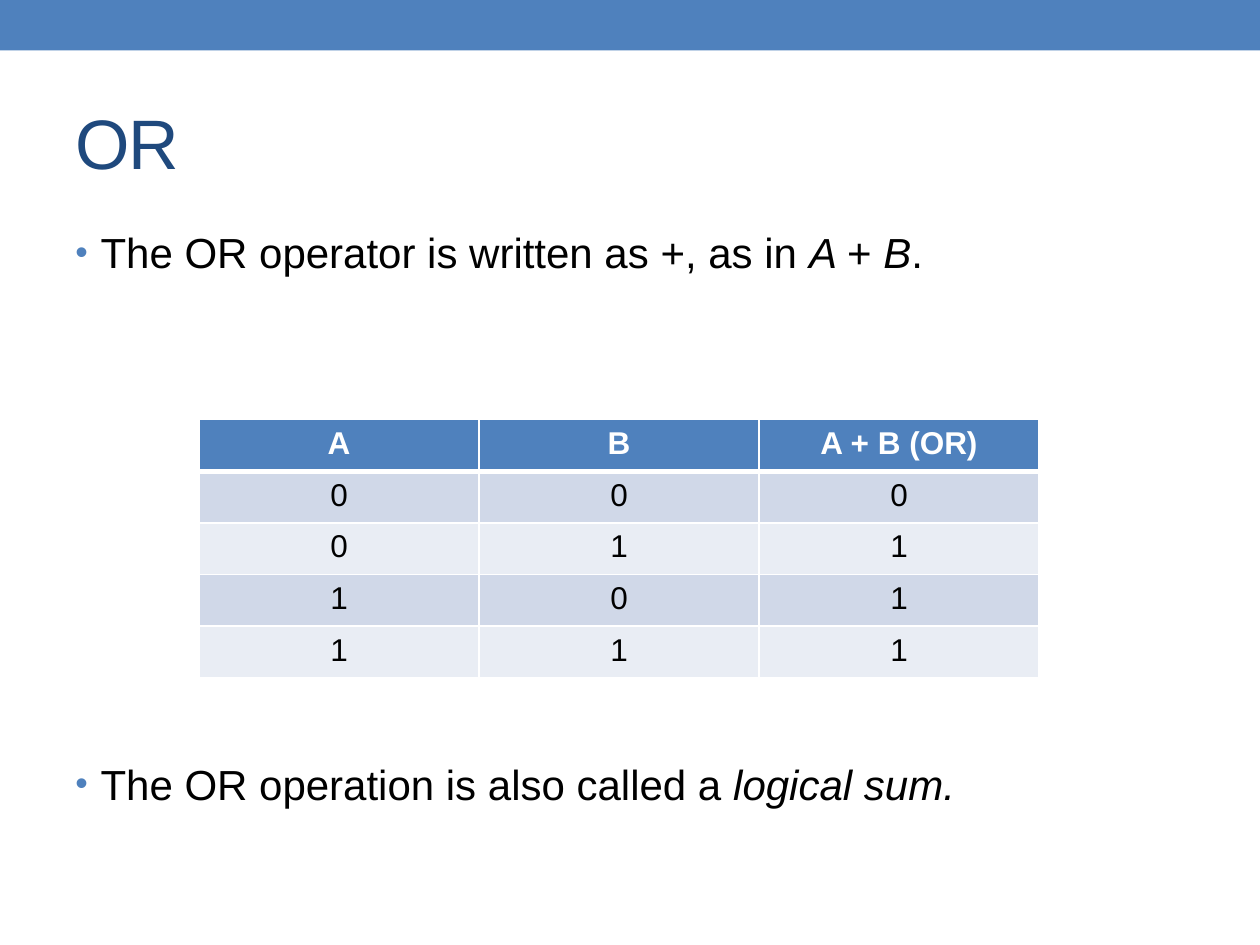
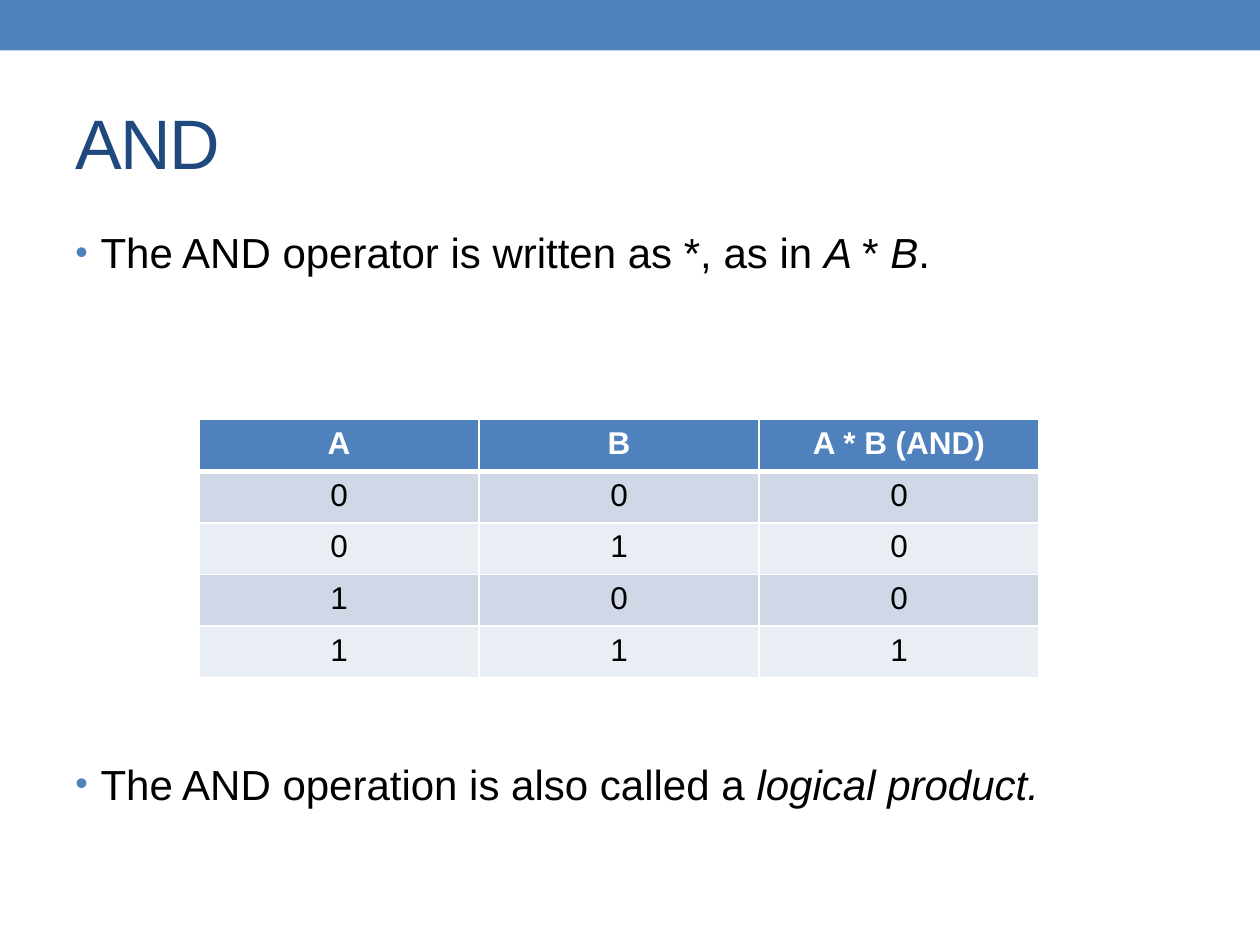
import pptx
import pptx.dml.color
import pptx.enum.shapes
import pptx.enum.text
import pptx.oxml.ns
import pptx.util
from lxml import etree

RGBColor = pptx.dml.color.RGBColor
Inches, Pt = pptx.util.Inches, pptx.util.Pt
ALIGN, ANCHOR = pptx.enum.text.PP_ALIGN, pptx.enum.text.MSO_ANCHOR

# Each statement is a list of (text, italic) runs.
OPERATORS = [
    {
        "title": "OR",
        "notation": [("The OR operator is written as +, as in ", False), ("A ", True),
                     ("+ ", False), ("B", True), (".", False)],
        "truth_table": [("A", "B", "A + B (OR)"),
                        (0, 0, 0), (0, 1, 1), (1, 0, 1), (1, 1, 1)],
        "other_name": [("The OR operation is also called a ", False), ("logical sum.", True)],
    },
    {
        "title": "AND",
        "notation": [("The AND operator is written as *, as in ", False), ("A ", True),
                     ("* ", False), ("B", True), (".", False)],
        "truth_table": [("A", "B", "A * B (AND)"),
                        (0, 0, 0), (0, 1, 0), (1, 0, 0), (1, 1, 1)],
        "other_name": [("The AND operation is also called a ", False), ("logical product.", True)],
    },
]

BLUE = RGBColor(0x4F, 0x81, 0xBD)
NAVY = RGBColor(0x1F, 0x49, 0x7D)
BLACK = RGBColor(0, 0, 0)
WHITE = RGBColor(0xFF, 0xFF, 0xFF)
ROW_TINTS = RGBColor(0xD0, 0xD8, 0xE8), RGBColor(0xE9, 0xED, 0xF4)
FONT = "Arial"

WIDTH, HEIGHT = Inches(10), Inches(7.5)
MARGIN = Inches(0.5)
CONTENT_WIDTH = WIDTH - 2 * MARGIN
BAND_HEIGHT = Inches(0.4)
TITLE_TOP, TITLE_HEIGHT = Inches(0.58), Inches(1.08)
BODY_TOP, BODY_HEIGHT = Inches(1.75), Inches(5.33)
TABLE_LEFT, TABLE_TOP = Inches(1.58), Inches(3.33)
TABLE_WIDTH, ROW_HEIGHT = WIDTH * 2 // 3, Inches(0.41)
INDENT = Inches(0.2)
GAP_FOR_TABLE = 275


def add_xml(parent, tag, **attributes):
    return etree.SubElement(parent, pptx.oxml.ns.qn(tag),
                            {name: str(value) for name, value in attributes.items()})


def write(paragraph, text, size, color=BLACK, bold=False, italic=False,
          align=ALIGN.LEFT, spacing=None):
    """Append one formatted run; spacing is in hundredths of a point."""
    paragraph.alignment = align
    run = paragraph.add_run()
    run.text = str(text)
    run.font.name, run.font.size = FONT, Pt(size)
    run.font.color.rgb = color
    run.font.bold, run.font.italic = bold, italic
    if spacing is not None:
        run.font._element.set("spc", str(spacing))


def add_band(slide):
    band = slide.shapes.add_shape(pptx.enum.shapes.MSO_SHAPE.RECTANGLE,
                                  0, 0, WIDTH, BAND_HEIGHT)
    band.shadow.inherit = False
    band.fill.solid()
    band.fill.fore_color.rgb = BLUE
    band.line.fill.background()


def set_title(slide, text):
    title = slide.shapes.title
    title.left, title.top = MARGIN, TITLE_TOP
    title.width, title.height = CONTENT_WIDTH, TITLE_HEIGHT
    title.text_frame.vertical_anchor = ANCHOR.MIDDLE
    write(title.text_frame.paragraphs[0], text, 40, color=NAVY, spacing=-100)


def add_statements(slide, notation, other_name):
    """Two bullets, far enough apart to leave room for the table."""
    frame = slide.shapes.add_textbox(MARGIN, BODY_TOP, CONTENT_WIDTH, BODY_HEIGHT).text_frame
    frame.word_wrap = True
    first, last = frame.paragraphs[0], frame.add_paragraph()
    last.space_before = Pt(GAP_FOR_TABLE)
    for paragraph, runs in ((first, notation), (last, other_name)):
        for text, italic in runs:
            write(paragraph, text, 24, italic=italic)
        properties = paragraph._p.get_or_add_pPr()
        properties.set("marL", str(INDENT))
        properties.set("indent", str(-INDENT))
        add_xml(add_xml(properties, "a:buClr"), "a:srgbClr", val=BLUE)
        add_xml(properties, "a:buSzPct", val=85000)
        add_xml(properties, "a:buFont", typeface=FONT)
        add_xml(properties, "a:buChar", char="•")


def set_borders(cell, bottom):
    properties = cell._tc.get_or_add_tcPr()
    widths = {"a:lnL": 1, "a:lnR": 1, "a:lnT": 1, "a:lnB": bottom}
    for position, (side, width) in enumerate(widths.items()):
        border = add_xml(properties, side, w=Pt(width))
        add_xml(add_xml(border, "a:solidFill"), "a:srgbClr", val=WHITE)
        properties.insert(position, border)


def add_truth_table(slide, rows):
    table = slide.shapes.add_table(len(rows), len(rows[0]), TABLE_LEFT, TABLE_TOP,
                                   TABLE_WIDTH, ROW_HEIGHT * len(rows)).table
    for r, values in enumerate(rows):
        header = r == 0
        for c, value in enumerate(values):
            cell = table.cell(r, c)
            cell.fill.solid()
            cell.fill.fore_color.rgb = BLUE if header else ROW_TINTS[(r - 1) % 2]
            set_borders(cell, bottom=3 if header else 1)
            if r == 1:
                cell._tc.tcPr.find(pptx.oxml.ns.qn("a:lnT")).set("w", str(Pt(3)))
            write(cell.text_frame.paragraphs[0], value, 18, bold=header,
                  color=WHITE if header else BLACK, align=ALIGN.CENTER)


def main():
    deck = pptx.Presentation()
    deck.slide_width, deck.slide_height = WIDTH, HEIGHT
    title_only = deck.slide_layouts[5]
    for operator in OPERATORS:
        slide = deck.slides.add_slide(title_only)
        add_band(slide)
        set_title(slide, operator["title"])
        add_statements(slide, operator["notation"], operator["other_name"])
        add_truth_table(slide, operator["truth_table"])
    deck.save("out.pptx")


if __name__ == "__main__":
    main()
